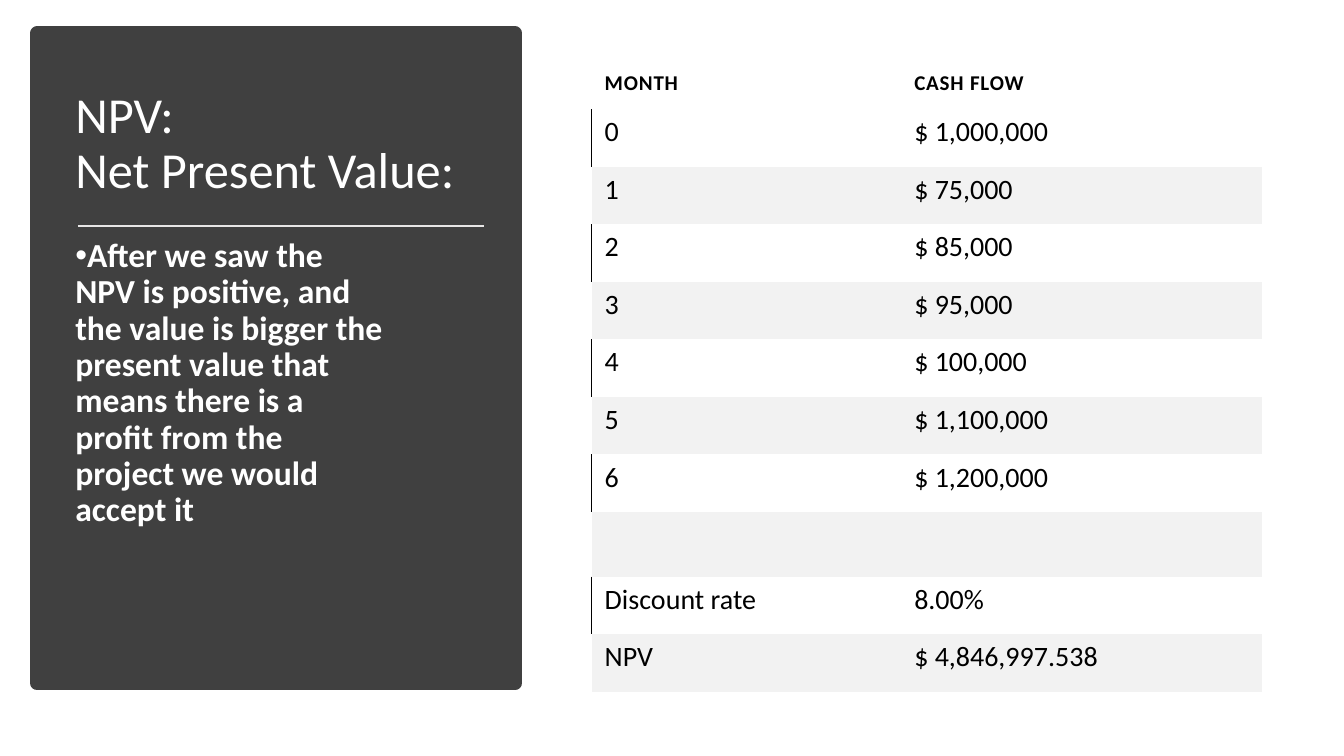
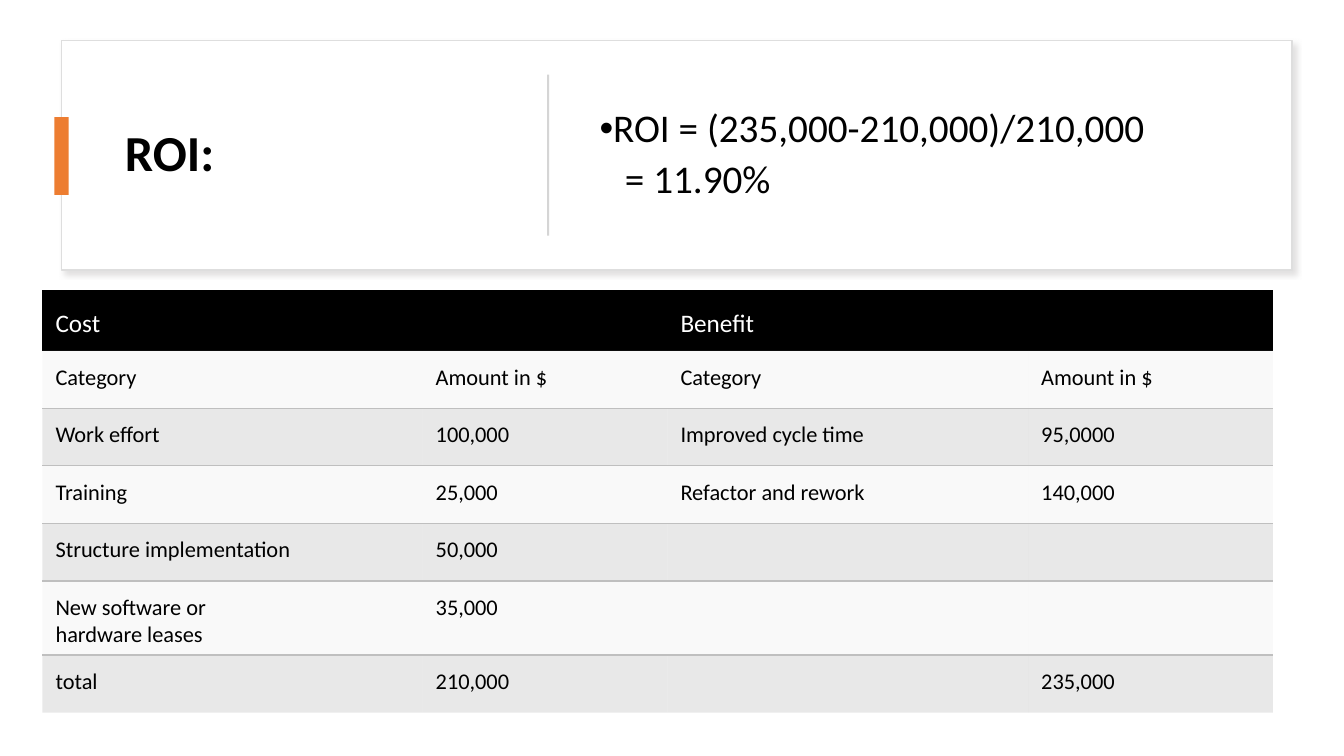
from dataclasses import dataclass

from lxml import etree
from pptx import Presentation
from pptx.dml.color import RGBColor
from pptx.enum.shapes import MSO_CONNECTOR, MSO_SHAPE
from pptx.enum.text import MSO_ANCHOR
from pptx.oxml.ns import qn
from pptx.util import Cm, Pt

TOP, MID, LOW = MSO_ANCHOR.TOP, MSO_ANCHOR.MIDDLE, MSO_ANCHOR.BOTTOM
RECT, LINE = MSO_SHAPE.RECTANGLE, MSO_CONNECTOR.STRAIGHT
PLAIN = "{2D5ABB26-0587-4C30-8999-92F81FD0307C}"


@dataclass(frozen=True)
class Theme:
    font: str = "Calibri"
    black: str = "000000"
    white: str = "FFFFFF"
    dark: str = "404040"
    rule: str = "E7E6E6"
    edge: str = "DEDEDE"
    split: str = "D5D5D5"
    shade: str = "C5C3C3"
    accent: str = "ED7D31"
    pale: str = "F2F2F2"
    grey: str = "BFBFBF"
    title: int = 36
    lead: int = 28
    body: int = 24
    cell: int = 20
    head: int = 18
    small: int = 16
    label: int = 15


T = Theme()

FLOWS = [
    ("MONTH", "CASH FLOW"),
    ("0", "$ 1,000,000"),
    ("1", "$ 75,000"),
    ("2", "$ 85,000"),
    ("3", "$ 95,000"),
    ("4", "$ 100,000"),
    ("5", "$ 1,100,000"),
    ("6", "$ 1,200,000"),
    ("", ""),
    ("Discount rate", "8.00%"),
    ("NPV", "$ 4,846,997.538"),
]

COSTS = [
    ("Cost", "", "Benefit", ""),
    ("Category", "Amount in $", "Category", "Amount in $"),
    ("Work effort", "100,000", "Improved cycle time", "95,0000"),
    ("Training", "25,000", "Refactor and rework", "140,000"),
    ("Structure implementation", "50,000", "", ""),
    ("New software or\nhardware leases", "35,000", "", ""),
    ("total", "210,000", "", "235,000"),
]


def rgb(code):
    return RGBColor.from_string(code)


def add(parent, tag, **attrs):
    return etree.SubElement(parent, qn(tag), attrs)


def style(frame, size, color, bold=False):
    for para in frame.paragraphs:
        for run in para.runs:
            font = run.font
            font.name, font.size, font.bold = T.font, Pt(size), bold
            font.color.rgb = rgb(color)


def add_box(slide, x, y, w, h, fill, line=None, width=1):
    box = slide.shapes.add_shape(RECT, Cm(x), Cm(y), Cm(w), Cm(h))
    box.shadow.inherit = False
    box.fill.solid()
    box.fill.fore_color.rgb = rgb(fill)
    if line:
        box.line.color.rgb = rgb(line)
        box.line.width = Pt(width)
    else:
        box.line.fill.background()
    return box


def add_text(slide, x, y, w, h, text, size, color, bold=False, anchor=TOP, after=6):
    frame = slide.shapes.add_textbox(Cm(x), Cm(y), Cm(w), Cm(h)).text_frame
    frame.word_wrap = True
    frame.vertical_anchor = anchor
    frame.text = text
    for para in frame.paragraphs:
        para.line_spacing = 0.9
        para.space_after = Pt(after)
    style(frame, size, color, bold)
    return frame


def bullet(para):
    props = para._p.get_or_add_pPr()
    props.set("marL", "0")
    props.set("indent", str(-Cm(0.64)))
    add(props, "a:buFont", typeface="Arial")
    add(props, "a:buChar", char="•")


def cast(shape):
    effects = shape._element.spPr.find(qn("a:effectLst"))
    drop = add(effects, "a:outerShdw", blurRad=str(Pt(4)), dist=str(Pt(3)),
               dir="2700000", algn="tl", rotWithShape="0")
    add(add(drop, "a:srgbClr", val=T.shade), "a:alpha", val="50000")


def border(cell, tag, color):
    line = etree.Element(qn(tag), w=str(Pt(1)))
    add(add(line, "a:solidFill"), "a:srgbClr", val=color)
    cell._tc.get_or_add_tcPr().insert(0, line)


def paint(cell, color, alpha=100):
    cell.fill.solid()
    cell.fill.fore_color.rgb = rgb(color)
    if alpha < 100:
        tone = cell._tc.tcPr.find(".//" + qn("a:srgbClr"))
        add(tone, "a:alpha", val=str(alpha * 1000))


def write(cell, text, size, color, anchor, top, low, bold=False):
    if not text:
        return
    cell.margin_left = cell.margin_right = Cm(0.33)
    cell.margin_top, cell.margin_bottom = Cm(top), Cm(low)
    cell.vertical_anchor = anchor
    cell.text = text
    style(cell.text_frame, size, color, bold)


def add_grid(slide, x, y, cols, rows):
    frame = slide.shapes.add_table(len(rows), len(cols), Cm(x), Cm(y),
                                   Cm(sum(cols)), Cm(sum(rows)))
    table = frame.table
    table.first_row = table.horz_banding = False
    table._tbl.tblPr.find(qn("a:tableStyleId")).text = PLAIN
    for col, width in zip(table.columns, cols):
        col.width = Cm(width)
    for row, height in zip(table.rows, rows):
        row.height = Cm(height)
    return table


def add_panel(slide, x, y, w, h):
    add_box(slide, x, y, w, h, T.dark, T.dark, 10)
    add_text(slide, x + 0.71, y + 0.94, 10.62, 3.73, "NPV:\vNet Present Value:",
             T.title, T.white, anchor=MID, after=0)
    rule = slide.shapes.add_connector(LINE, Cm(x + 1.02), Cm(y + 4.85),
                                      Cm(x + 11.25), Cm(y + 4.85))
    rule.line.color.rgb = rgb(T.rule)
    rule.line.width = Pt(1.75)
    add(rule._element.spPr, "a:effectLst")
    note = add_text(slide, x + 0.71, y + 5.05, 8.31, 11,
                    "After we saw the NPV is positive, and the value is bigger the "
                    "present value that means there is a profit from the project "
                    "we would accept it", T.body, T.white, True)
    bullet(note.paragraphs[0])


def add_flows(slide, x, y):
    rows = [1.4] + [1.45] * 7 + [1.63] + [1.45] * 2
    table = add_grid(slide, x, y, [7.8, 9.09], rows)
    for r, texts in enumerate(FLOWS):
        for c, text in enumerate(texts):
            cell = table.cell(r, c)
            if r == 0:
                write(cell, text, T.label, T.black, LOW, 0.33, 0.33, True)
                cell.text_frame.paragraphs[0].runs[0].font._element.set("spc", "60")
            else:
                write(cell, text, T.cell, T.black, TOP, 0.15, 0.33)
            if r and r % 2 == 0:
                paint(cell, T.pale)
            else:
                cell.fill.background()
                if r and c == 0:
                    border(cell, "a:lnL", T.black)


def add_card(slide, x, y, w, h):
    cast(add_box(slide, x, y, w, h, T.white, T.edge))
    add_text(slide, x + 1.35, y + 0.61, 9.88, 4.57, "ROI:",
             T.title, T.black, True, MID)
    add_box(slide, x - 0.18, y + 1.93, 0.36, 1.96, T.accent)
    add_box(slide, x + 12.24, y + 0.86, 0.05, 4.06, T.split)
    sums = add_text(slide, x + 13.31, y + 0.61, 16.66, 4.57,
                    "ROI = (235,000-210,000)/210,000\n= 11.90%",
                    T.lead, T.black, anchor=MID)
    first, last = sums.paragraphs
    bullet(first)
    last._p.get_or_add_pPr().set("marL", str(Cm(0.64)))


def add_costs(slide, x, y):
    table = add_grid(slide, x, y, [9.58, 6.17, 9.09, 6.17], [1.52] + [1.45] * 6)
    for c in (0, 2):
        table.cell(0, c).merge(table.cell(0, c + 1))
    for r, texts in enumerate(COSTS):
        for c, text in enumerate(texts):
            cell = table.cell(r, c)
            if r == 0:
                write(cell, text, T.head, T.white, MID, 0.33, 0.18)
                paint(cell, T.black)
                continue
            write(cell, text, T.small, T.black, TOP, 0.33, 0.18)
            if r % 2:
                paint(cell, T.pale, 45)
                border(cell, "a:lnB", T.grey)
            else:
                paint(cell, T.grey, 35)
                border(cell, "a:lnT", T.grey)


def main():
    deck = Presentation()
    deck.slide_width, deck.slide_height = Cm(33.87), Cm(19.05)
    blank = deck.slide_layouts[6]

    value = deck.slides.add_slide(blank)
    add_panel(value, 0.94, 0.84, 12.04, 16.38)
    add_flows(value, 14.91, 1.35)

    gain = deck.slides.add_slide(blank)
    add_card(gain, 1.55, 1.02, 31.01, 5.79)
    add_costs(gain, 1.07, 7.32)

    deck.save("out.pptx")


if __name__ == "__main__":
    main()
